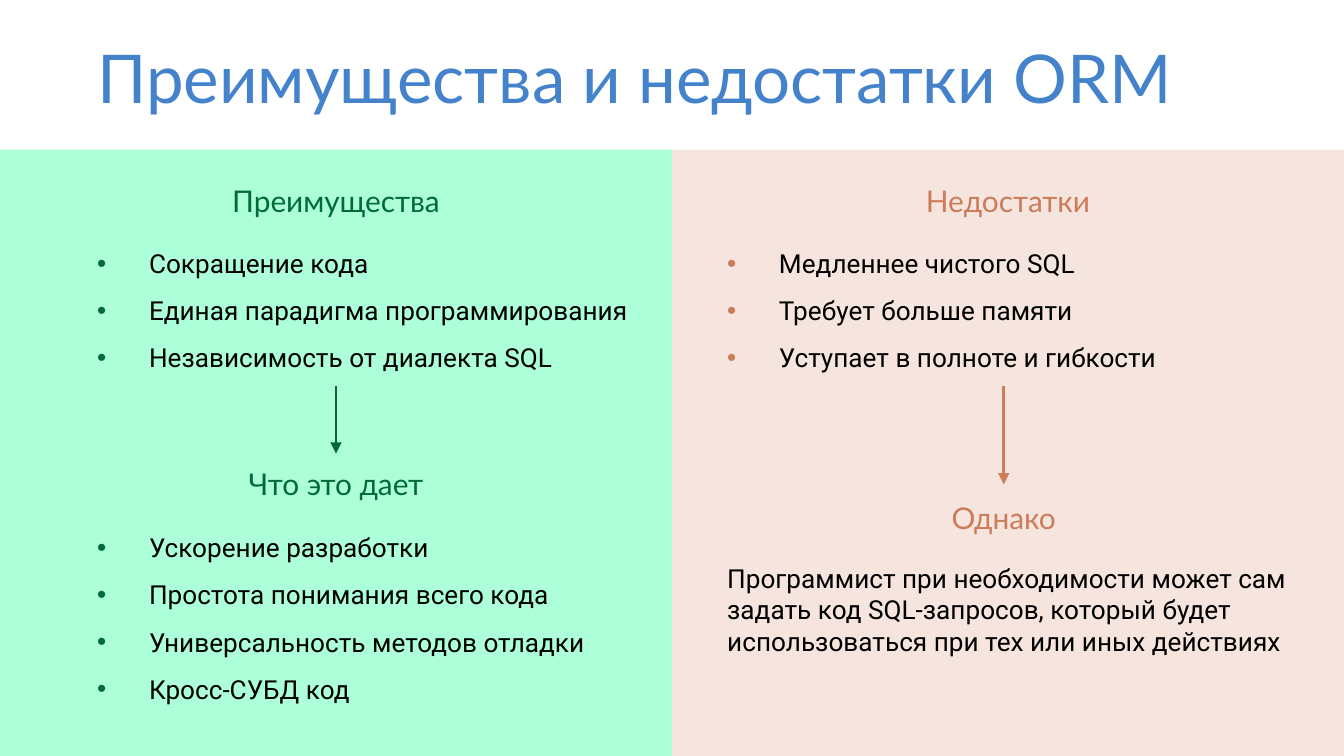
import dataclasses

import pptx
import pptx.dml.color
import pptx.enum.shapes
import pptx.enum.text
import pptx.oxml.ns
import pptx.util
from lxml import etree

EMU_PER_PX = 9525
PAGE_WIDTH, PAGE_HEIGHT = 960, 540
HALF = PAGE_WIDTH // 2
PANEL_TOP = 107


@dataclasses.dataclass(frozen=True)
class Theme:
    title: str = "4482CC"
    body: str = "000000"
    pros: str = "006B3A"
    cons: str = "CC7C58"
    pros_panel: str = "ACFFD9"
    cons_panel: str = "F5E5DE"
    display_font: str = "Lato"
    body_font: str = "Roboto"
    title_size: int = 36
    heading_size: int = 16
    body_size: int = 14


def px(length):
    return pptx.util.Emu(length * EMU_PER_PX)


def rgb(code):
    return pptx.dml.color.RGBColor.from_string(code)


def assign(target, values):
    for name, value in values.items():
        setattr(target, name, value)


def add_xml(parent, tag, **attributes):
    return etree.SubElement(parent, pptx.oxml.ns.qn(tag), attributes)


class SlideWriter:
    def __init__(self, page, theme):
        self.page = page
        self.theme = theme

    def panel(self, left, color):
        shape = self.page.shapes.add_shape(
            pptx.enum.shapes.MSO_SHAPE.RECTANGLE,
            px(left), px(PANEL_TOP), px(HALF), px(PAGE_HEIGHT - PANEL_TOP))
        shape.shadow.inherit = False
        shape.fill.solid()
        shape.fill.fore_color.rgb = rgb(color)
        shape.line.fill.background()

    def text(self, area, lines, font, size, color, wrap=True, bullet=None, **layout):
        """Write one paragraph per line; bullet is the colour of the bullets."""
        box = self.page.shapes.add_textbox(*map(px, area))
        frame = box.text_frame
        frame.word_wrap = wrap
        values = {"name": font, "size": pptx.util.Pt(size)}
        for index, line in enumerate(lines):
            para = frame.add_paragraph() if index else frame.paragraphs[0]
            assign(para, layout)
            if bullet:
                self.mark(para, bullet)
            span = para.add_run()
            span.text = line
            assign(span.font, values)
            span.font.color.rgb = rgb(color)

    def mark(self, para, color):
        """Give the paragraph a hanging bullet."""
        properties = para._p.get_or_add_pPr()
        indent = px(37)
        properties.set("marL", str(indent))
        properties.set("indent", str(-indent))
        add_xml(add_xml(properties, "a:buClr"), "a:srgbClr", val=color)
        add_xml(properties, "a:buFont", typeface="Arial")
        add_xml(properties, "a:buChar", char="•")

    def title(self, words):
        theme = self.theme
        self.text((60, 21, 836, 68), [words], theme.display_font, theme.title_size, theme.title)

    def heading(self, center, top, words, color):
        width = 172
        self.text((center - width // 2, top, width, 36), [words],
                  self.theme.display_font, self.theme.heading_size, color,
                  wrap=False, alignment=pptx.enum.text.PP_ALIGN.CENTER)

    def bullets(self, left, top, lines, color):
        self.text((left, top, HALF, 36 * len(lines)), lines,
                  self.theme.body_font, self.theme.body_size, self.theme.body,
                  bullet=color, line_spacing=1.5)

    def passage(self, area, words):
        self.text(area, [words], self.theme.body_font, self.theme.body_size, self.theme.body)

    def down_arrow(self, center, top, bottom, color):
        arrow = self.page.shapes.add_connector(
            pptx.enum.shapes.MSO_CONNECTOR.STRAIGHT,
            px(center), px(top), px(center), px(bottom))
        arrow.line.width = pptx.util.Pt(1.5)
        arrow.line.color.rgb = rgb(color)
        add_xml(arrow.line._get_or_add_ln(), "a:tailEnd", type="triangle")
        add_xml(arrow._element.spPr, "a:effectLst")


def main():
    deck = pptx.Presentation()
    assign(deck, {"slide_width": px(PAGE_WIDTH), "slide_height": px(PAGE_HEIGHT)})
    theme = Theme()
    writer = SlideWriter(deck.slides.add_slide(deck.slide_layouts[6]), theme)

    writer.title("Преимущества и недостатки ORM")
    writer.panel(0, theme.pros_panel)
    writer.panel(HALF, theme.cons_panel)

    writer.heading(240, 126, "Преимущества", theme.pros)
    writer.bullets(60, 161, [
        "Сокращение кода",
        "Единая парадигма программирования",
        "Независимость от диалекта SQL",
    ], theme.pros)
    writer.down_arrow(240, 276, 324, theme.pros)
    writer.heading(240, 328, "Что это дает", theme.pros)
    writer.bullets(60, 364, [
        "Ускорение разработки",
        "Простота понимания всего кода",
        "Универсальность методов отладки",
        "Кросс-СУБД код",
    ], theme.pros)

    writer.heading(720, 126, "Недостатки", theme.cons)
    writer.bullets(510, 161, [
        "Медленнее чистого SQL",
        "Требует больше памяти",
        "Уступает в полноте и гибкости",
    ], theme.cons)
    writer.down_arrow(717, 276, 346, theme.cons)
    writer.heading(717, 352, "Однако", theme.cons)
    writer.passage((510, 397, 434, 78),
                   "Программист при необходимости может сам задать код SQL-запросов, "
                   "который будет использоваться при тех или иных действиях")

    deck.save("out.pptx")


if __name__ == "__main__":
    main()
